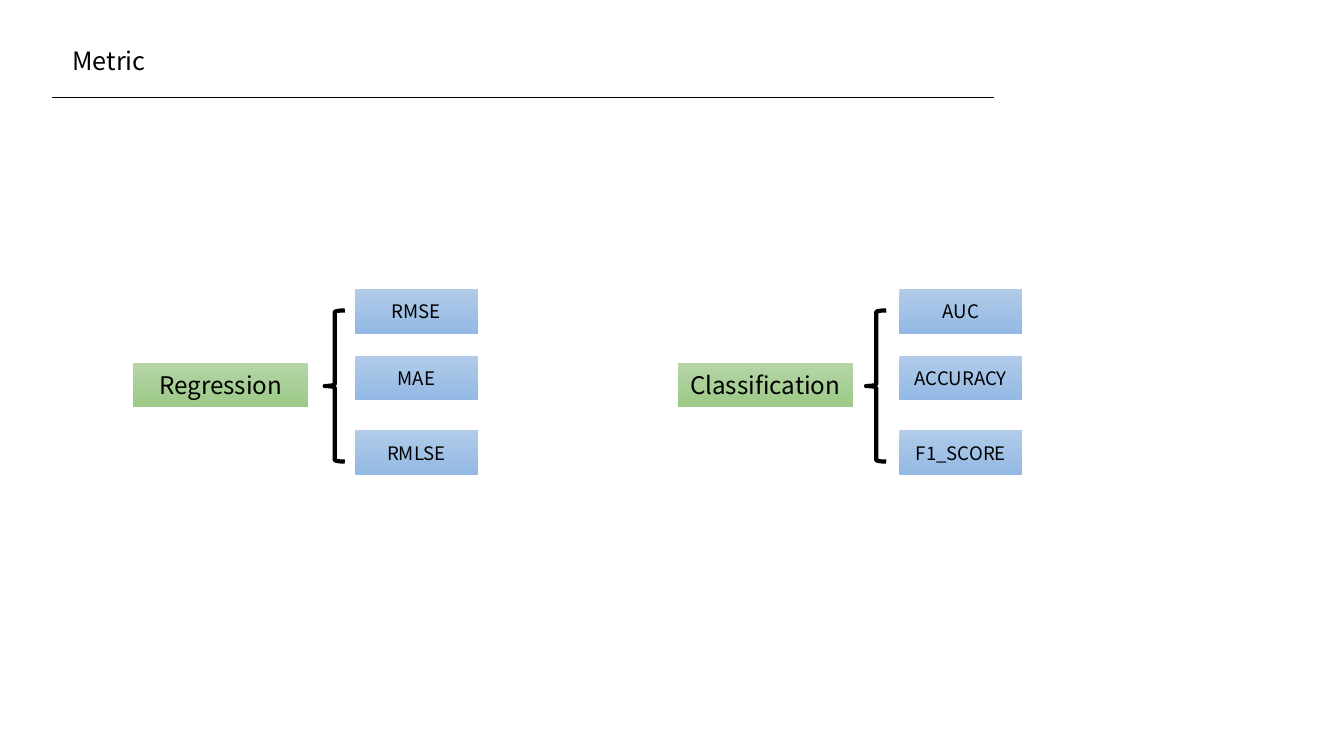
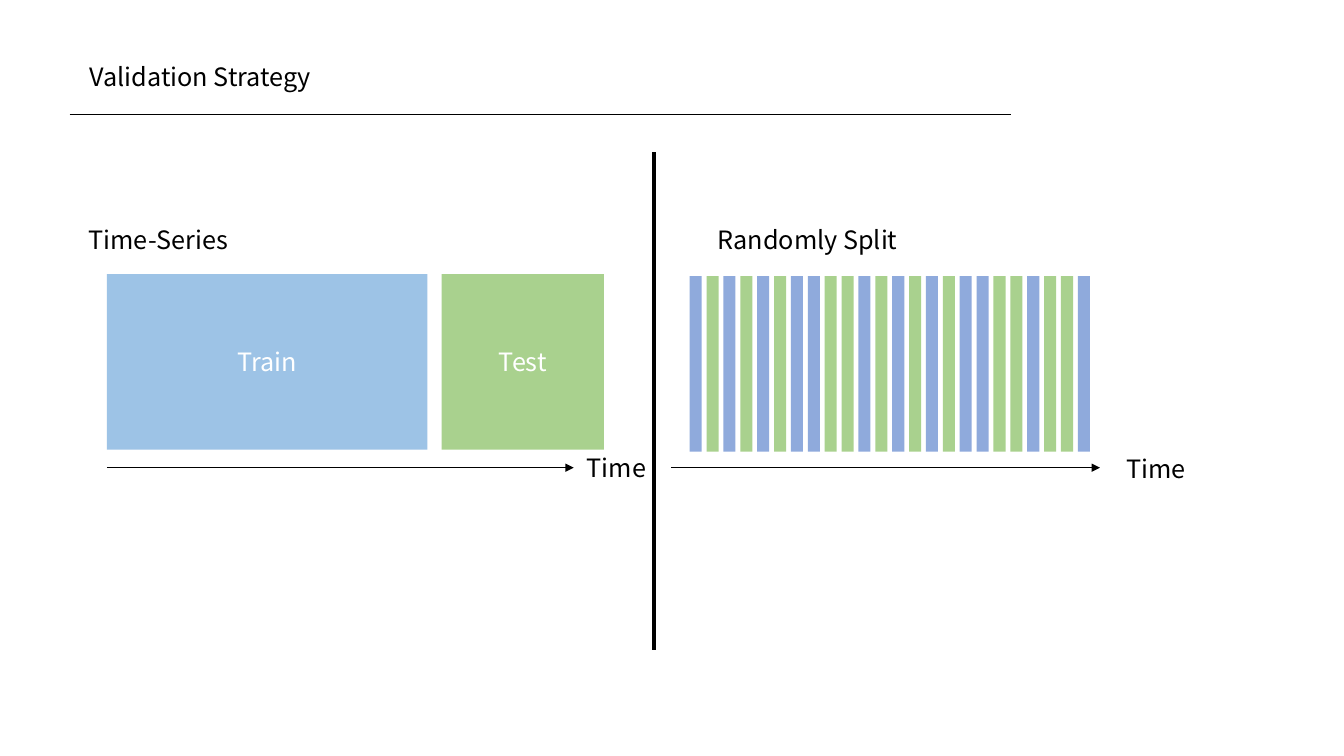
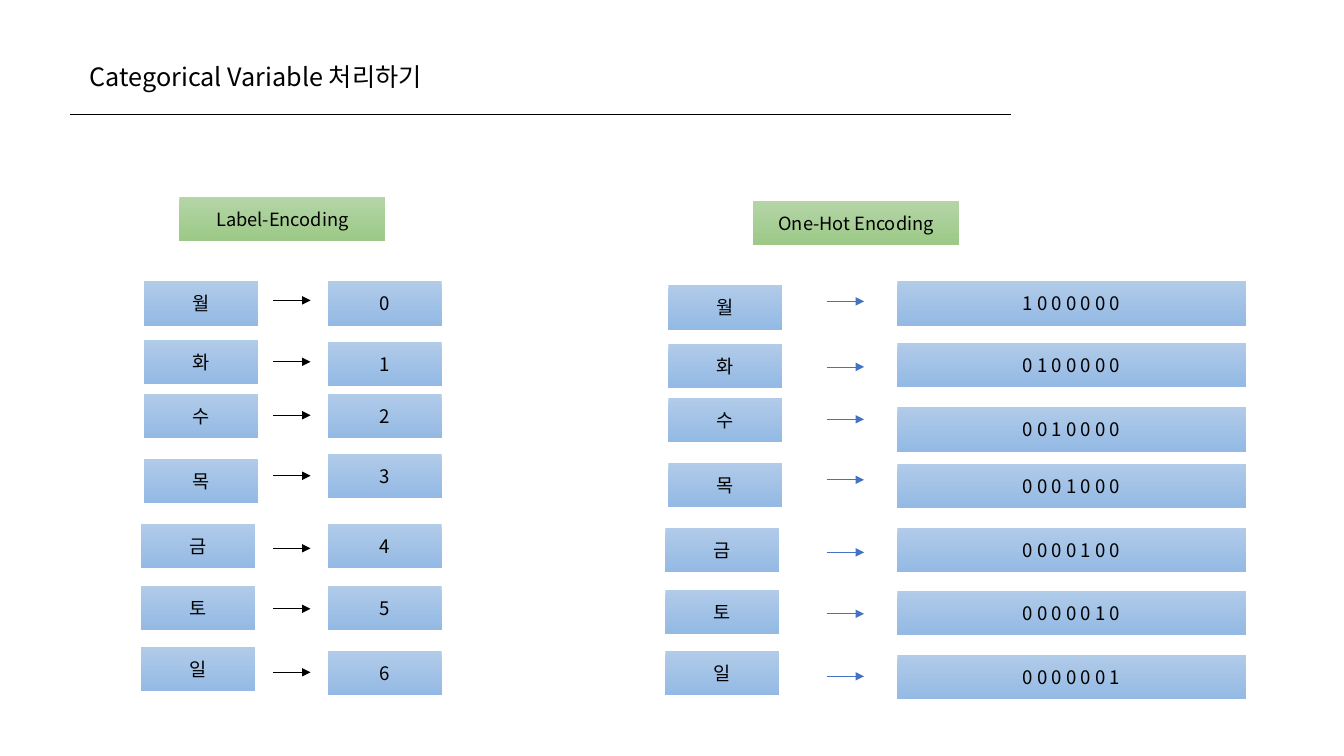
"""Build three slides on metrics, validation and categorical encoding."""
from lxml.etree import SubElement
from pptx import Presentation
from pptx.dml.color import RGBColor
from pptx.enum.shapes import MSO_CONNECTOR, MSO_SHAPE
from pptx.enum.text import MSO_ANCHOR, MSO_AUTO_SIZE, PP_ALIGN
from pptx.oxml.ns import qn
from pptx.util import Inches, Pt

FONT = "Noto Sans CJK KR"
BLACK = RGBColor(0x00, 0x00, 0x00)
WHITE = RGBColor(0xFF, 0xFF, 0xFF)
ARROW_BLUE = RGBColor(0x44, 0x72, 0xC4)
TRAIN_BLUE = RGBColor(0x9D, 0xC3, 0xE6)
STRIPE_BLUE = RGBColor(0x8F, 0xAA, 0xDC)
TEST_GREEN = RGBColor(0xA9, 0xD1, 0x8E)
GREEN_GRADIENT = (RGBColor(0xB5, 0xD5, 0xA7), RGBColor(0x9C, 0xC9, 0x87))
BLUE_GRADIENT = (RGBColor(0xB1, 0xCB, 0xE9), RGBColor(0x93, 0xB9, 0xE4))

BOX_HEIGHT = 0.44
DAY_WIDTH = 1.13
DAYS = "월화수목금토일"
STRIPES = "BGBGBGBBGGBGBGBGBBGGBGGB"


def write_text(shape, text, size, color=BLACK, alignment=None):
    text_frame = shape.text_frame
    text_frame.word_wrap = True
    paragraph = text_frame.paragraphs[0]
    paragraph.text = text
    paragraph.alignment = alignment
    font = paragraph.font
    font.size = Pt(size)
    font.color.rgb = color
    font.name = FONT
    properties = paragraph._p.get_or_add_pPr().find(qn("a:defRPr"))
    SubElement(properties, qn("a:ea"), typeface=FONT)


def add_label(slide, text, left, top, width):
    label = slide.shapes.add_textbox(Inches(left), Inches(top), Inches(width), Inches(0.4))
    write_text(label, text, 18)
    label.text_frame.auto_size = MSO_AUTO_SIZE.SHAPE_TO_FIT_TEXT


def add_line(slide, start, end, color=BLACK, weight=0.5, arrow=False):
    line = slide.shapes.add_connector(
        MSO_CONNECTOR.STRAIGHT, *(Inches(length) for length in (*start, *end))
    )
    line.line.color.rgb = color
    line.line.width = Pt(weight)
    if arrow:
        SubElement(line.line._get_or_add_ln(), qn("a:tailEnd"), type="triangle")
    SubElement(line._element.spPr, qn("a:effectLst"))


def add_arrow(slide, left, right, top, color=BLACK):
    add_line(slide, (left, top), (right, top), color, arrow=True)


def add_preset(slide, preset, left, top, width, height):
    shape = slide.shapes.add_shape(
        preset, Inches(left), Inches(top), Inches(width), Inches(height)
    )
    shape.shadow.inherit = False
    return shape


def add_block(slide, color, left, top, width, height, text=None):
    block = add_preset(slide, MSO_SHAPE.RECTANGLE, left, top, width, height)
    block.fill.solid()
    block.fill.fore_color.rgb = color
    block.line.fill.background()
    if text:
        block.text_frame.vertical_anchor = MSO_ANCHOR.MIDDLE
        write_text(block, text, 18, WHITE, PP_ALIGN.CENTER)


def add_box(slide, text, left, top, width, gradient=BLUE_GRADIENT, size=13.3):
    box = add_preset(slide, MSO_SHAPE.RECTANGLE, left, top, width, BOX_HEIGHT)
    box.fill.gradient()
    box.fill.gradient_angle = 270
    for stop, color in zip(box.fill.gradient_stops, gradient):
        stop.color.rgb = color
    box.line.fill.background()
    box.text_frame.vertical_anchor = MSO_ANCHOR.MIDDLE
    write_text(box, text, size, BLACK, PP_ALIGN.CENTER)


def add_brace(slide, left, top):
    brace = add_preset(slide, MSO_SHAPE.LEFT_BRACE, left, top, 0.2, 1.5)
    brace.fill.background()
    brace.line.color.rgb = BLACK
    brace.line.width = Pt(3)


def add_titled_slide(presentation, title, left=0.79, top=0.56):
    slide = presentation.slides.add_slide(presentation.slide_layouts[6])
    add_label(slide, title, left, top, 4.45)
    rule_left, rule_top = left - 0.1, top + 0.57
    add_line(slide, (rule_left, rule_top), (rule_left + 9.34, rule_top))
    return slide


def add_metric_group(slide, name, metrics, left, brace_left):
    add_box(slide, name, left, 3.6, 1.74, GREEN_GRADIENT, 17.3)
    add_brace(slide, brace_left, 3.08)
    for metric, top in zip(metrics, (2.87, 3.53, 4.27)):
        add_box(slide, metric, left + 2.2, top, 1.22)


def add_day_column(slide, left, offset=0):
    tops = (2.79, 3.37, 3.91, 4.55, 5.2, 5.81, 6.42)
    for index, (day, top) in enumerate(zip(DAYS, tops)):
        indent = 0.03 if index < 4 else 0
        add_box(slide, day, left + indent, top + offset, DAY_WIDTH)


def add_code_column(slide, codes, left, tops, width):
    for code, top in zip(codes, tops):
        add_box(slide, code, left, top, width)


def add_arrow_column(slide, left, tops, color):
    for top in tops:
        add_arrow(slide, left, left + 0.37, top, color)


def build_metric_slide(presentation):
    slide = add_titled_slide(presentation, "Metric", 0.62, 0.4)
    add_metric_group(slide, "Regression", ("RMSE", "MAE", "RMLSE"), 1.32, 3.22)
    add_metric_group(slide, "Classification", ("AUC", "ACCURACY", "F1_SCORE"), 6.72, 8.59)


def build_validation_slide(presentation):
    slide = add_titled_slide(presentation, "Validation Strategy")
    add_line(slide, (6.49, 1.51), (6.49, 6.45), weight=3)

    add_label(slide, "Time-Series", 0.78, 2.18, 1.99)
    add_block(slide, TRAIN_BLUE, 1.06, 2.72, 3.18, 1.74, "Train")
    add_block(slide, TEST_GREEN, 4.38, 2.72, 1.61, 1.74, "Test")
    add_arrow(slide, 1.06, 5.69, 4.64)
    add_label(slide, "Time", 5.72, 4.44, 0.79)

    add_label(slide, "Randomly Split", 7.02, 2.18, 1.99)
    stripe_colors = {"B": STRIPE_BLUE, "G": TEST_GREEN}
    pitch = (10.69 - 6.84) / (len(STRIPES) - 1)
    for index, stripe in enumerate(STRIPES):
        add_block(slide, stripe_colors[stripe], 6.84 + index * pitch, 2.74, 0.12, 1.74)
    add_arrow(slide, 6.66, 10.91, 4.64)
    add_label(slide, "Time", 11.07, 4.45, 0.79)


def build_encoding_slide(presentation):
    slide = add_titled_slide(presentation, "Categorical Variable 처리하기")
    positions = range(len(DAYS))

    add_box(slide, "Label-Encoding", 1.78, 1.95, 2.04, GREEN_GRADIENT, 13)
    add_day_column(slide, 1.4)
    add_arrow_column(slide, 2.71, (2.98, 3.59, 4.12, 4.72, 5.44, 6.04, 6.67), BLACK)
    labels = [str(position) for position in positions]
    add_code_column(slide, labels, 3.25, (2.79, 3.39, 3.91, 4.5, 5.2, 5.81, 6.46), DAY_WIDTH)

    add_box(slide, "One-Hot Encoding", 7.47, 1.99, 2.04, GREEN_GRADIENT, 13)
    add_day_column(slide, 6.6, 0.04)
    add_arrow_column(slide, 8.2, (2.99, 3.64, 4.16, 4.76, 5.48, 6.09, 6.71), ARROW_BLUE)
    vectors = [
        " ".join("1" if column == row else "0" for column in positions) for row in positions
    ]
    add_code_column(slide, vectors, 8.9, (2.79, 3.4, 4.04, 4.6, 5.24, 5.86, 6.5), 3.46)


def main():
    presentation = Presentation()
    presentation.slide_width = Inches(13.33)
    presentation.slide_height = Inches(7.5)
    build_metric_slide(presentation)
    build_validation_slide(presentation)
    build_encoding_slide(presentation)
    presentation.save("out.pptx")


if __name__ == "__main__":
    main()
